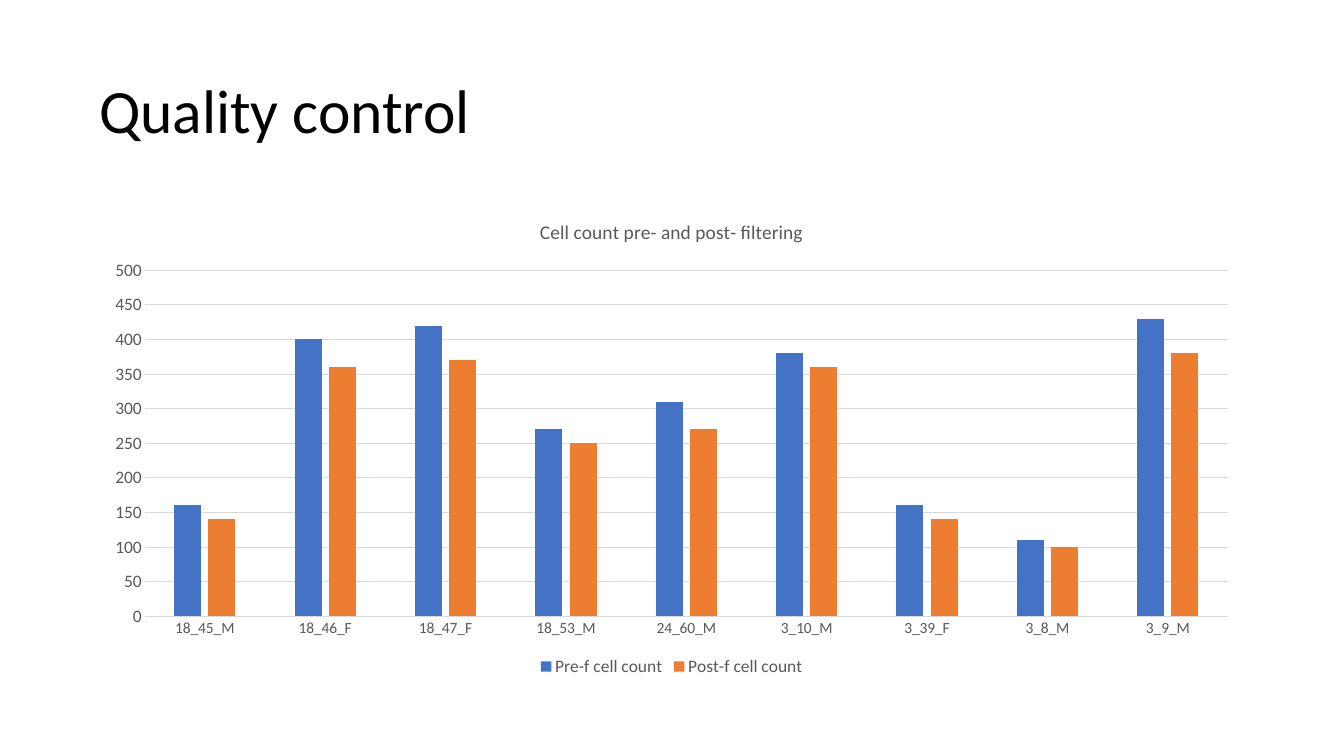
from pptx import Presentation
from pptx import util as u
from pptx.chart.data import CategoryChartData
from pptx.dml.color import RGBColor
from pptx.enum import chart as ch, text

PX = 9144  # EMU per px, 100 px to the inch


def rgb(color):
    return RGBColor.from_string(color)


class SlideBuilder:
    face = "Calibri"
    ink, muted, rule = "000000", "595959", "D9D9D9"

    def __init__(self, prs):
        self.s = prs.slides.add_slide(prs.slide_layouts[5])

    def style_font(self, font, size, color):
        font.name, font.size, font.bold = self.face, u.Pt(size), False
        font.color.rgb = rgb(color)

    def style_line(self, line):
        line.color.rgb = rgb(self.rule)
        line.width = u.Pt(0.75)

    def title(self, words, box, size):
        sp = self.s.shapes.title
        sp.left, sp.top, sp.width, sp.height = (v * PX for v in box)
        tf = sp.text_frame
        tf.text = words
        tf.word_wrap = True
        tf.auto_size = text.MSO_AUTO_SIZE.NONE
        tf.vertical_anchor = text.MSO_ANCHOR.MIDDLE
        p = tf.paragraphs[0]
        p.alignment = text.PP_ALIGN.LEFT
        p.line_spacing = 0.9
        self.style_font(p.font, size, self.ink)

    def column_chart(self, heading, cats, series, box):
        data = CategoryChartData()
        data.categories = cats
        for name, values, _ in series:
            data.add_series(name, values)
        chart = self.s.shapes.add_chart(
            ch.XL_CHART_TYPE.COLUMN_CLUSTERED, *(v * PX for v in box), data).chart
        self.style_font(chart.font, 14, self.ink)

        # Heading and legend
        tf = chart.chart_title.text_frame
        tf.text = heading
        self.style_font(tf.paragraphs[0].font, 20, self.muted)
        chart.chart_title.include_in_layout = False
        chart.has_legend = True
        chart.legend.position = ch.XL_LEGEND_POSITION.BOTTOM
        chart.legend.include_in_layout = False
        self.style_font(chart.legend.font, 18, self.muted)

        # Columns
        plot = chart.plots[0]
        plot.gap_width, plot.overlap = 219, -27
        plot.vary_by_categories = False
        for ser, (_, _, color) in zip(plot.series, series):
            ser.format.fill.solid()
            ser.format.fill.fore_color.rgb = rgb(color)

        # Axes
        cat_axis, val_axis = chart.category_axis, chart.value_axis
        for axis, size in ((cat_axis, 16), (val_axis, 18)):
            axis.major_tick_mark = axis.minor_tick_mark = ch.XL_TICK_MARK.NONE
            self.style_font(axis.tick_labels.font, size, self.muted)
        self.style_line(cat_axis.format.line)
        val_axis.format.line.fill.background()
        val_axis.minimum_scale, val_axis.maximum_scale = 0, 500
        val_axis.major_unit = 50
        self.style_line(val_axis.major_gridlines.format.line)


def main():
    prs = Presentation()
    prs.slide_width, prs.slide_height = 1926 * PX, 1083 * PX
    slide = SlideBuilder(prs)

    # Title
    slide.title("Quality control", (132, 58, 1661, 209), 63.5)

    # Cell counts per sample
    samples = ["18_45_M", "18_46_F", "18_47_F", "18_53_M", "24_60_M",
               "3_10_M", "3_39_F", "3_8_M", "3_9_M"]
    counts = [
        ("Pre-f cell count",
         (160, 400, 420, 270, 310, 380, 160, 110, 430), "4472C4"),
        ("Post-f cell count",
         (140, 360, 370, 250, 270, 360, 140, 100, 380), "ED7D31"),
    ]
    slide.column_chart("Cell count pre- and post- filtering", samples, counts,
                       (132, 288, 1661, 687))

    prs.save("out.pptx")


if __name__ == "__main__":
    main()
